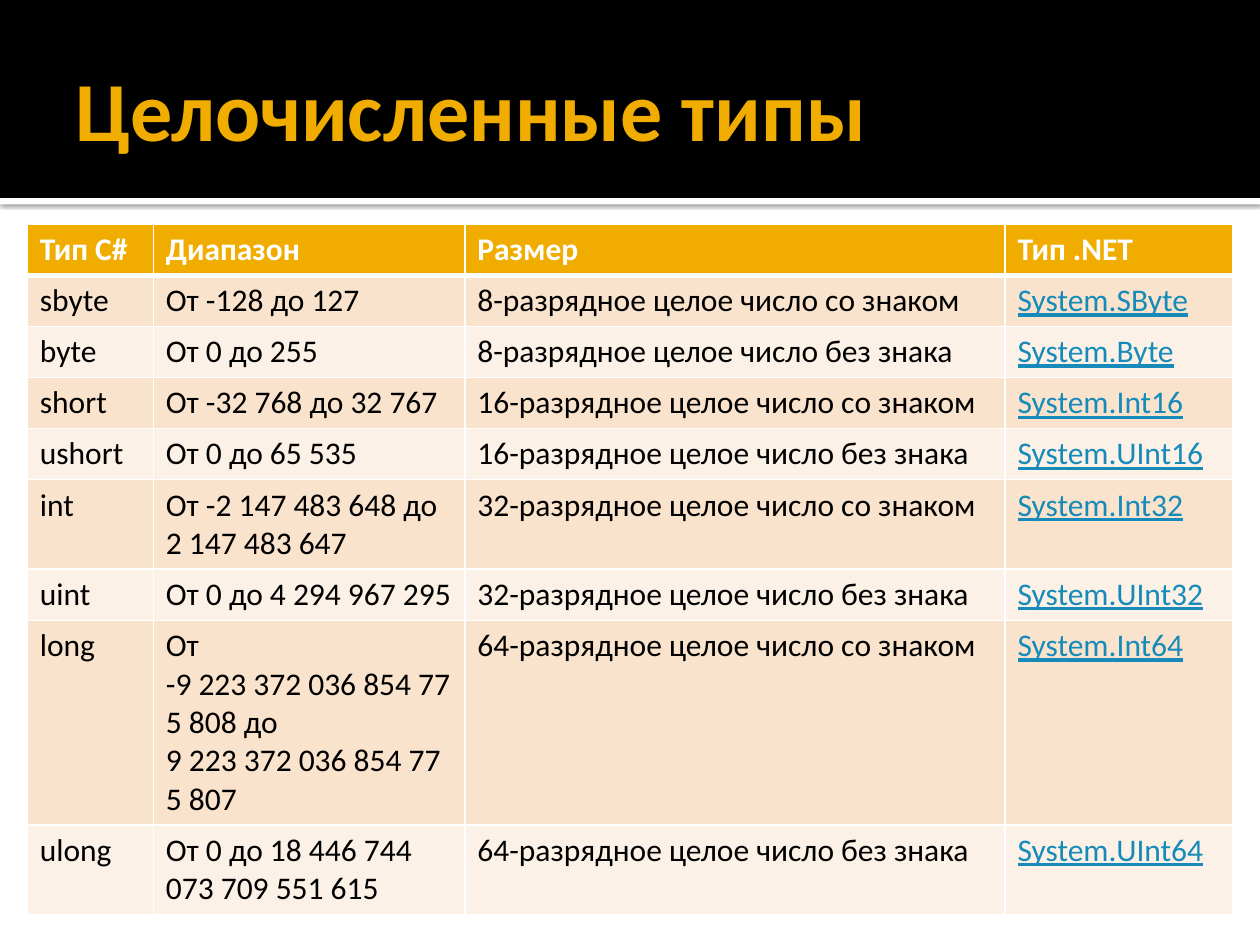
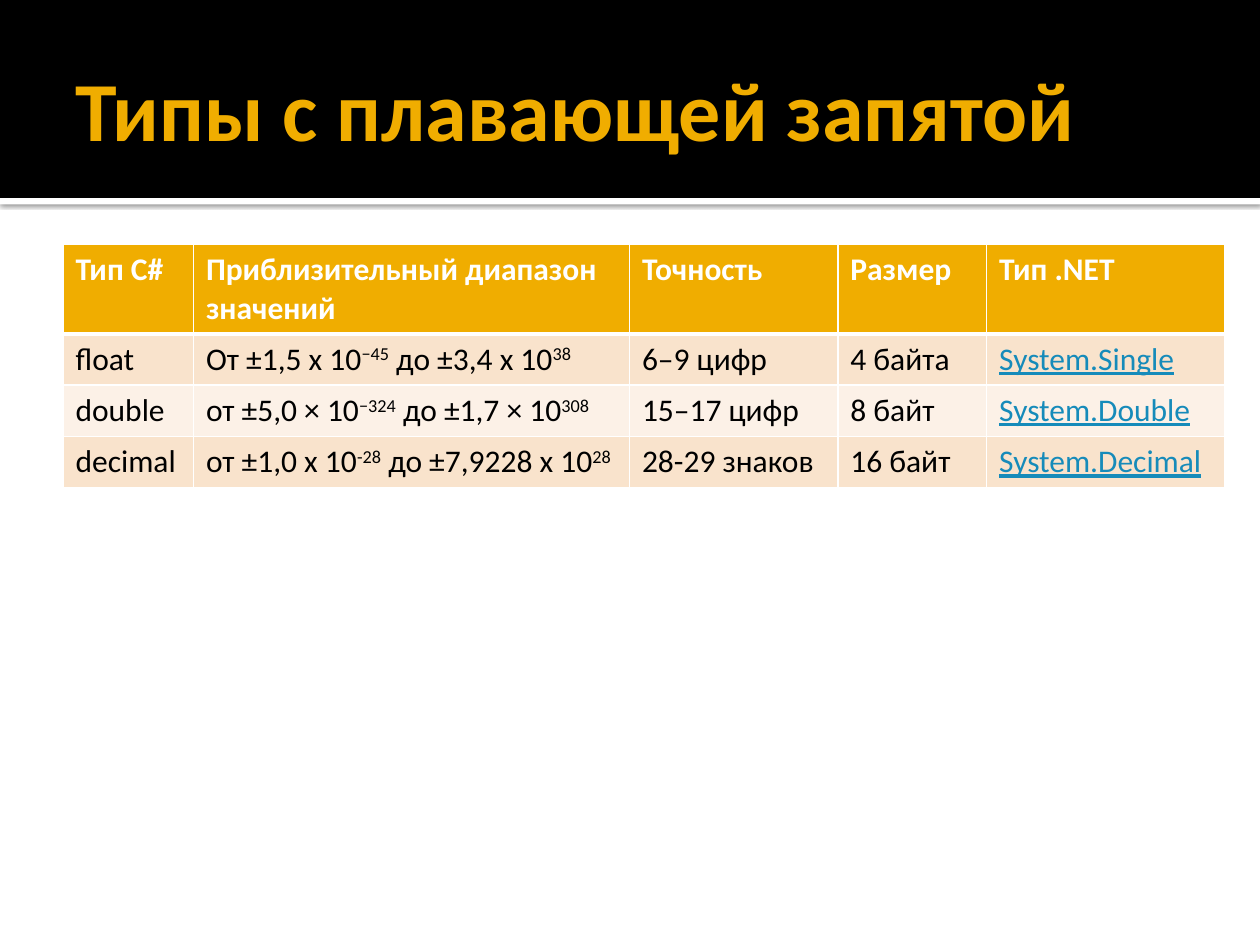
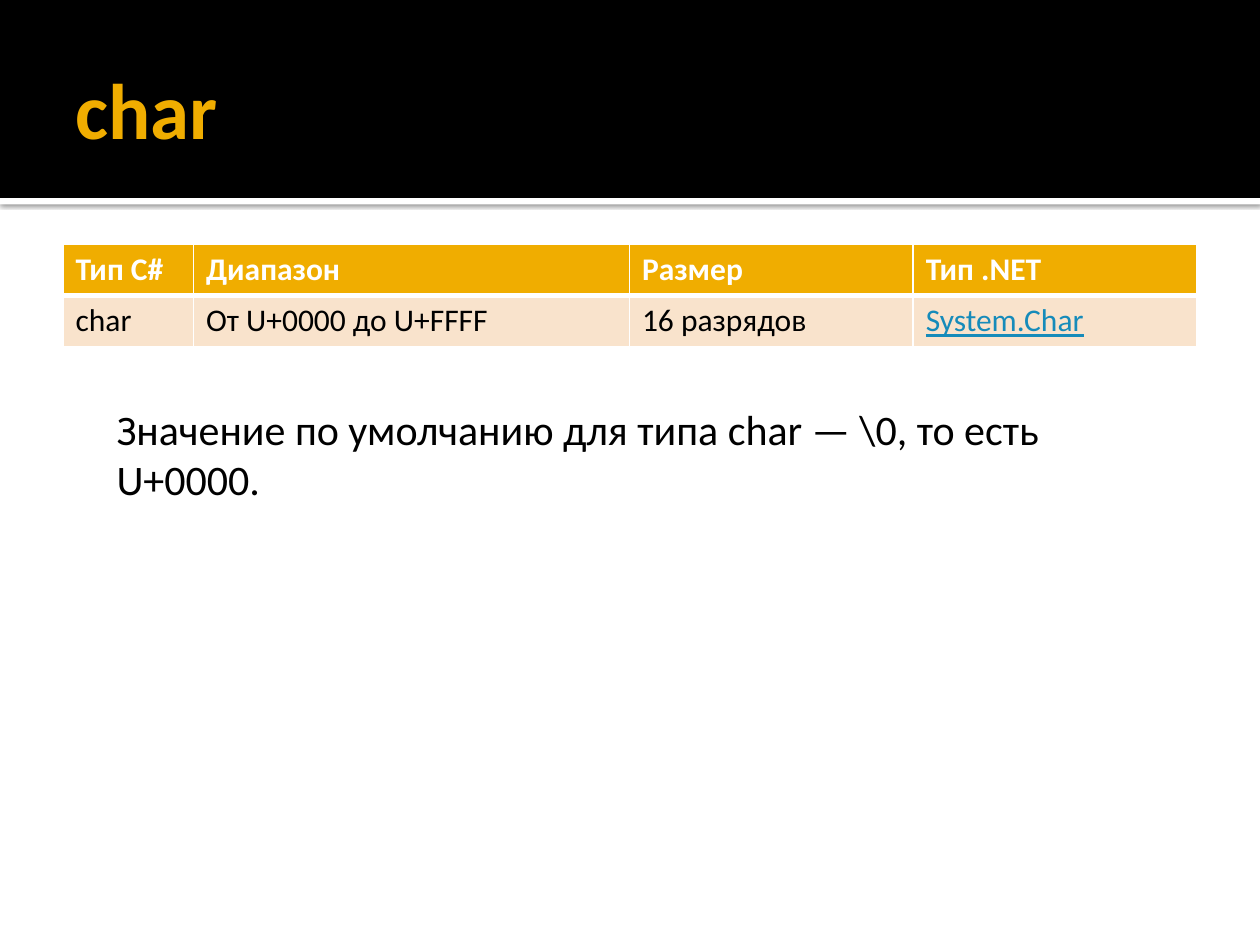
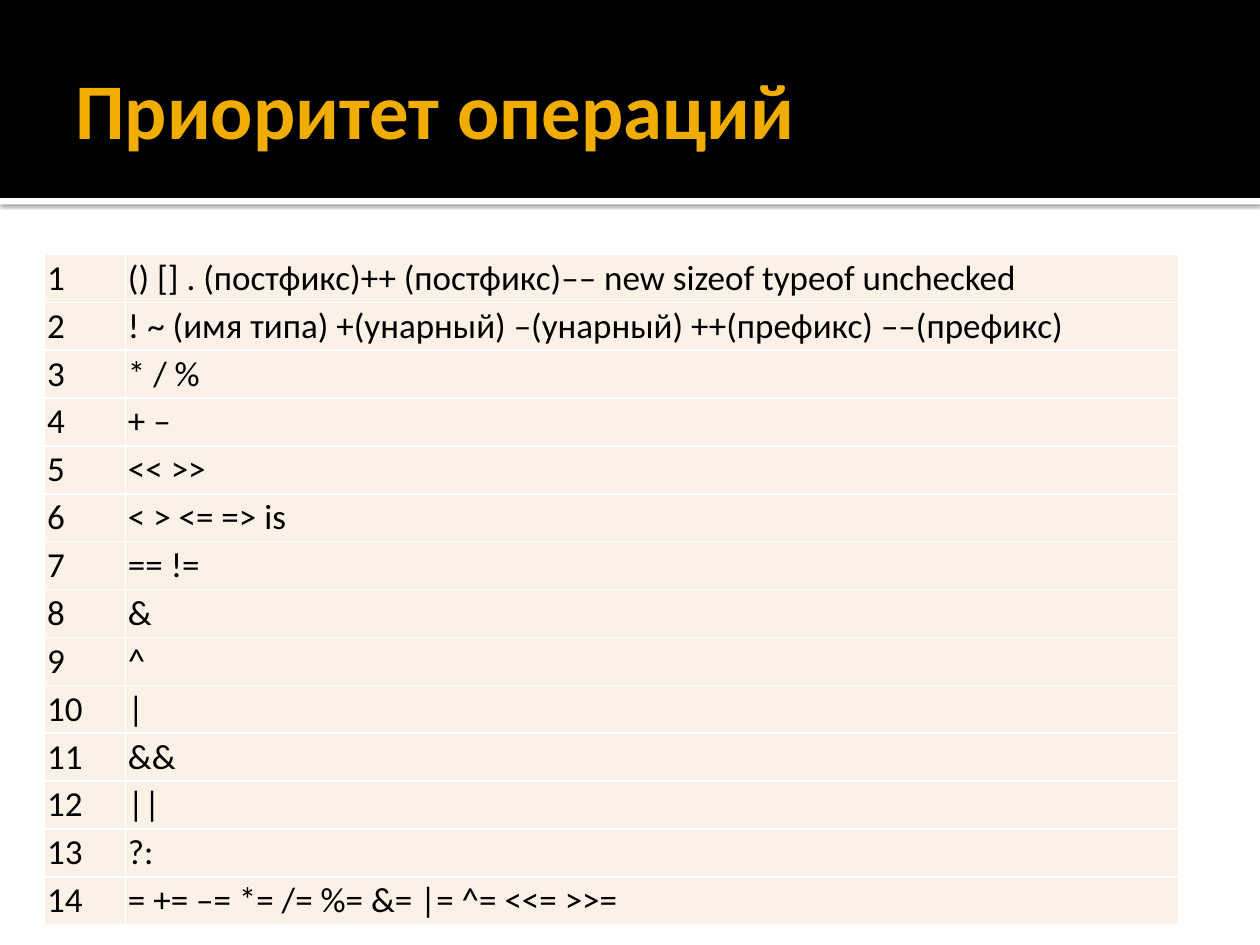
import pptx
import pptx.dml.color
import pptx.enum.shapes
import pptx.enum.text
import pptx.oxml
import pptx.oxml.ns
import pptx.util

Cm = pptx.util.Cm
Pt = pptx.util.Pt
RGBColor = pptx.dml.color.RGBColor

# Style
FONT = "Calibri"
BLACK = RGBColor(0x00, 0x00, 0x00)
WHITE = RGBColor(0xFF, 0xFF, 0xFF)
GOLD = RGBColor(0xF0, 0xAD, 0x00)
LINK_BLUE = RGBColor(0x16, 0x8B, 0xBA)
BAND_DARK = RGBColor(0xF9, 0xE3, 0xCC)
BAND_LIGHT = RGBColor(0xFC, 0xF1, 0xE7)

SLIDE_WIDTH, SLIDE_HEIGHT = Cm(25.4), Cm(19.05)
BAND_HEIGHT = Cm(3.99)
ROW_HEIGHT = Cm(1.03)
TITLE_ONLY_LAYOUT = 5

HEADER_FORMAT = {"size": Pt(18), "bold": True, "color": WHITE}
CELL_FORMAT = {"size": Pt(18), "bold": False, "color": BLACK}
LINK_FORMAT = {**CELL_FORMAT, "color": LINK_BLUE, "underline": True}
OPERATOR_FORMAT = {**CELL_FORMAT, "size": Pt(20)}
NOTE_FORMAT = {"size": Pt(24), "color": BLACK}

# In the texts below "_" stands for a no-break space
NO_BREAK_SPACE = chr(160)

# Contents
INTEGER_TYPES = [
    ("sbyte", "От -128 до 127", "8-разрядное целое число со знаком", "System.SByte"),
    ("byte", "От 0 до 255", "8-разрядное целое число без знака", "System.Byte"),
    ("short", "От -32_768 до 32_767", "16-разрядное целое число со знаком", "System.Int16"),
    ("ushort", "От 0 до 65 535", "16-разрядное целое число без знака", "System.UInt16"),
    ("int", "От -2_147_483_648 до 2_147_483_647",
     "32-разрядное целое число со знаком", "System.Int32"),
    ("uint", "От 0 до 4 294 967 295", "32-разрядное целое число без знака", "System.UInt32"),
    ("long", "От -9_223_372_036_854_775_808 до 9_223_372_036_854_775_807",
     "64-разрядное целое число со знаком", "System.Int64"),
    ("ulong", "От 0 до 18 446 744 073 709 551 615",
     "64-разрядное целое число без знака", "System.UInt64"),
]

# A tuple alternates normal and superscript text
FLOAT_TYPES = [
    ("float", ("От ±1,5 x 10", "−45", "_до ±3,4 x 10", "38"),
     "6–9 цифр", "4 байта", "System.Single"),
    ("double", ("от ±5,0 × 10", "−324", "_до ±1,7 × 10", "308"),
     "15–17 цифр", "8 байт", "System.Double"),
    ("decimal", ("от ±1,0 x 10", "-28", "_до ±7,9228 x 10", "28"),
     "28-29_знаков", "16 байт", "System.Decimal"),
]

OPERATORS = [
    "() [] . (постфикс)++ (постфикс)–– new sizeof typeof unchecked",
    "! ~ (имя типа) +(унарный) –(унарный) ++(префикс) ––(префикс)",
    "* / %", "+ –", "<< >>", "< > <= => is", "== !=", "&", "^", "|", "&&", "||", "?:",
    "= += –= *= /= %= &= |= ^= <<= >>=",
]


class Deck:
    """Holds the presentation, its style and the current slide."""

    def __init__(self):
        self.presentation = pptx.Presentation()
        self.presentation.slide_width = SLIDE_WIDTH
        self.presentation.slide_height = SLIDE_HEIGHT
        self.slide = None

    def add_text(self, paragraph, text, values):
        parts = text if isinstance(text, tuple) else (text,)
        for index, part in enumerate(parts):
            run = paragraph.add_run()
            run.text = part.replace("_", NO_BREAK_SPACE)
            run.font.name = FONT
            for name, value in values.items():
                if name == "color":
                    run.font.color.rgb = value
                else:
                    setattr(run.font, name, value)
            if index % 2:
                run.font._element.set("baseline", "30000")

    def add_band(self, top, height, color):
        band = self.slide.shapes.add_shape(
            pptx.enum.shapes.MSO_SHAPE.RECTANGLE, 0, top, SLIDE_WIDTH, height)
        band.shadow.inherit = False
        band.fill.solid()
        band.fill.fore_color.rgb = color
        band.line.fill.background()
        return band

    def add_slide(self, title, title_size):
        layout = self.presentation.slide_layouts[TITLE_ONLY_LAYOUT]
        self.slide = self.presentation.slides.add_slide(layout)

        # White strip with a soft shadow, then the black header band
        strip = self.add_band(BAND_HEIGHT, Cm(0.13), WHITE)
        effects = strip._element.spPr.find(pptx.oxml.ns.qn("a:effectLst"))
        effects.append(pptx.oxml.parse_xml(
            f'<a:outerShdw {pptx.oxml.ns.nsdecls("a")} blurRad="{Pt(2.5)}" dist="{Pt(0.8)}" '
            'dir="5400000" algn="tl" rotWithShape="0"><a:srgbClr val="000000">'
            '<a:alpha val="60000"/></a:srgbClr></a:outerShdw>'))
        self.add_band(0, BAND_HEIGHT, BLACK)

        # Title placeholder, brought in front of the bands
        shape = self.slide.shapes.title
        self.slide.shapes._spTree.append(shape._element)
        geometry = {"left": Cm(1.27), "top": Cm(0.43), "width": Cm(22.86), "height": Cm(3.48)}
        for name, value in geometry.items():
            setattr(shape, name, value)
        frame_values = {
            "margin_left": Cm(0.25), "margin_right": Cm(0.13),
            "margin_top": Cm(0.13), "margin_bottom": Cm(0.13),
            "vertical_anchor": pptx.enum.text.MSO_ANCHOR.MIDDLE,
            "auto_size": pptx.enum.text.MSO_AUTO_SIZE.NONE, "word_wrap": True,
        }
        for name, value in frame_values.items():
            setattr(shape.text_frame, name, value)
        paragraph = shape.text_frame.paragraphs[0]
        paragraph.alignment = pptx.enum.text.PP_ALIGN.LEFT
        self.add_text(paragraph, title, {"size": Pt(title_size), "bold": True, "color": GOLD})

    def style_cell(self, cell, color, top_width=1, bottom_width=1):
        properties = cell._tc.get_or_add_tcPr()
        widths = {"lnL": 1, "lnR": 1, "lnT": top_width, "lnB": bottom_width}
        for side, width in widths.items():
            properties.append(pptx.oxml.parse_xml(
                f'<a:{side} {pptx.oxml.ns.nsdecls("a")} w="{Pt(width)}"><a:solidFill>'
                f'<a:srgbClr val="{WHITE}"/></a:solidFill></a:{side}>'))
        cell.fill.solid()
        cell.fill.fore_color.rgb = color

    def make_table(self, left, top, widths, row_count, row_height):
        table = self.slide.shapes.add_table(
            row_count, len(widths), left, top,
            Cm(sum(widths)), row_height * row_count).table
        table.first_row = table.horz_banding = False
        for column, width in zip(table.columns, widths):
            column.width = Cm(width)
        for row in table.rows:
            row.height = row_height
        return table

    def add_type_table(self, left, top, widths, header, rows):
        table = self.make_table(left, top, widths, len(rows) + 1, ROW_HEIGHT)
        for row_index, texts in enumerate([header, *rows]):
            for column_index, text in enumerate(texts):
                cell = table.cell(row_index, column_index)
                if row_index == 0:
                    self.style_cell(cell, GOLD, bottom_width=3)
                    values = HEADER_FORMAT
                else:
                    color = BAND_DARK if row_index % 2 else BAND_LIGHT
                    self.style_cell(cell, color, top_width=3 if row_index == 1 else 1)
                    is_link = column_index == len(texts) - 1
                    values = LINK_FORMAT if is_link else CELL_FORMAT
                self.add_text(cell.text_frame.paragraphs[0], text, values)

    def add_operator_table(self, left, top, widths, operators):
        table = self.make_table(left, top, widths, len(operators), Cm(0.95))
        for row_index, operator in enumerate(operators):
            for column_index, text in enumerate((str(row_index + 1), operator)):
                cell = table.cell(row_index, column_index)
                self.style_cell(cell, BAND_LIGHT)
                for side in ("left", "right", "top", "bottom"):
                    setattr(cell, f"margin_{side}", Cm(0.05))
                self.add_text(cell.text_frame.paragraphs[0], text, OPERATOR_FORMAT)

    def add_note(self, left, top, width, height, text):
        frame = self.slide.shapes.add_textbox(left, top, width, height).text_frame
        frame.word_wrap = True
        frame.auto_size = pptx.enum.text.MSO_AUTO_SIZE.SHAPE_TO_FIT_TEXT
        self.add_text(frame.paragraphs[0], text, NOTE_FORMAT)


def main():
    deck = Deck()

    # Integer types
    deck.add_slide("Целочисленные типы", 48)
    deck.add_type_table(Cm(0.55), Cm(4.52), (2.54, 6.28, 10.89, 4.6),
                        ("Тип C#", "Диапазон", "Размер", "Тип .NET"), INTEGER_TYPES)

    # Floating-point types
    deck.add_slide("Типы с плавающей запятой", 48)
    deck.add_type_table(
        Cm(1.27), Cm(4.93), (2.63, 8.79, 4.2, 3, 4.8),
        ("Тип C#", "Приблизительный диапазон значений", "Точность", "Размер", "Тип .NET"),
        FLOAT_TYPES)

    # Character type
    deck.add_slide("char", 45)
    deck.add_type_table(Cm(1.27), Cm(4.93), (2.63, 8.79, 5.72, 5.72),
                        ("Тип C#", "Диапазон", "Размер", "Тип .NET"),
                        [("char", "От U+0000 до U+FFFF", "16_разрядов", "System.Char")])
    deck.add_note(Cm(2.1), Cm(8), Cm(21.8), Cm(2.31),
                  "Значение по умолчанию для типа char — \\0, то есть U+0000.")

    # Operator precedence
    deck.add_slide("Приоритет операций", 45)
    deck.add_operator_table(Cm(0.9), Cm(5.13), (1.63, 21.23), OPERATORS)

    deck.presentation.save("out.pptx")


if __name__ == "__main__":
    main()
